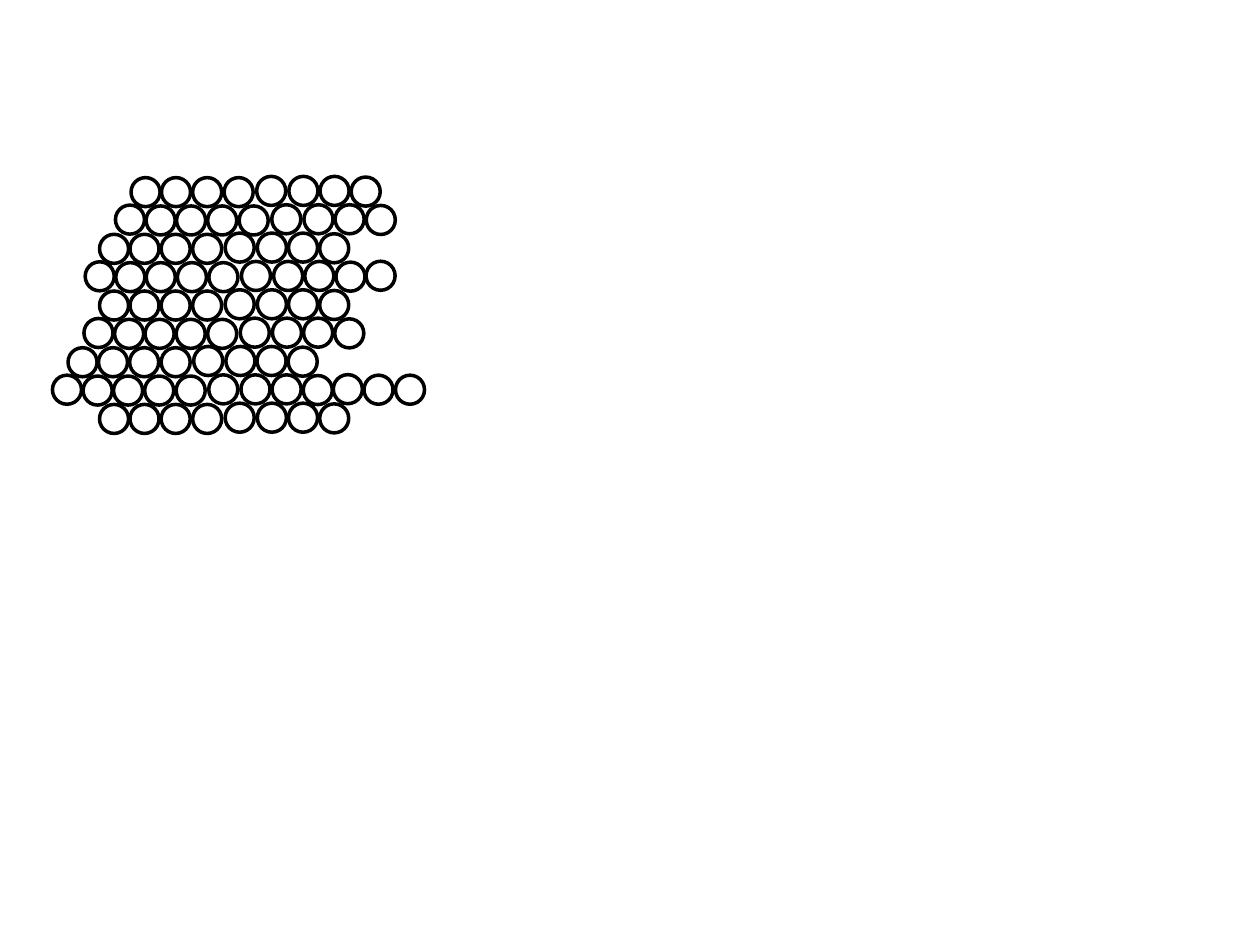
import pptx
import pptx.dml.color
import pptx.enum.shapes
import pptx.util

Pt = pptx.util.Pt

COLORS = {"fill": "FFFFFF", "outline": "000000"}

# Left edge of the row's column 0, first column, last column
ROWS = [
    (74.9, 0, 7),
    (83.5, -1, 7),
    (56.9, 0, 7),
    (66.2, -1, 8),
    (56.9, 0, 7),
    (65.5, -1, 7),
    (38.9, 0, 7),
    (47.5, -1, 10),
    (56.9, 0, 7),
]
# Column: (shift right, shift down) from the row's column 0
COLUMNS = {
    -1: (-17.5, -0.5),
    0: (0, 0),
    1: (17.4, 0),
    2: (35.2, 0),
    3: (53.2, 0),
    4: (71.8, -0.7),
    5: (90.2, -0.7),
    6: (108, -0.7),
    7: (125.8, -0.3),
    8: (143, -0.8),
    9: (160.5, -0.5),
    10: (178.5, -0.5),
}
FIRST_TOP = 101.5
ROW_PITCH = 16.2
DIAMETER = 16.6
OUTLINE_WIDTH = 2


def color(name):
    return pptx.dml.color.RGBColor.from_string(COLORS[name])


def add_circle(group, left, top):
    circle = group.shapes.add_shape(
        pptx.enum.shapes.MSO_SHAPE.OVAL,
        Pt(left), Pt(top), Pt(DIAMETER), Pt(DIAMETER),
    )
    circle.shadow.inherit = False
    circle.fill.solid()
    circle.fill.fore_color.rgb = color("fill")
    circle.line.color.rgb = color("outline")
    circle.line.width = Pt(OUTLINE_WIDTH)


def main():
    deck = pptx.Presentation()
    deck.slide_width, deck.slide_height = Pt(720), Pt(540)
    page = deck.slides.add_slide(deck.slide_layouts[6])
    for index, (start, first, last) in enumerate(ROWS):
        row_top = FIRST_TOP + index * ROW_PITCH
        row_group = page.shapes.add_group_shape()
        for column in range(first, last + 1):
            right, down = COLUMNS[column]
            add_circle(row_group, start + right, row_top + down)
    deck.save("out.pptx")


if __name__ == "__main__":
    main()
